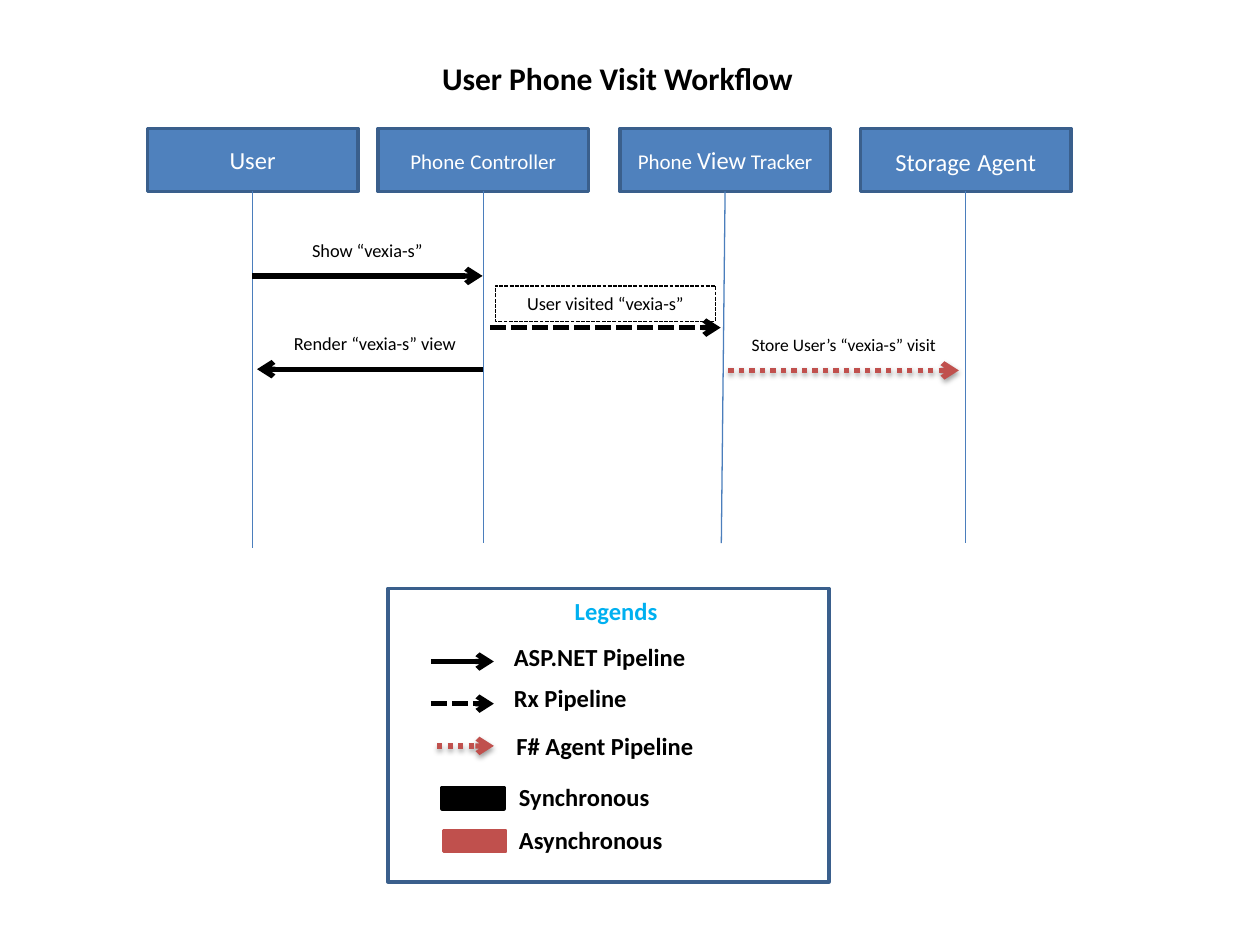
from dataclasses import dataclass
from lxml import etree
from pptx import Presentation
from pptx.dml.color import RGBColor
from pptx.enum.dml import MSO_LINE
from pptx.enum.shapes import MSO_CONNECTOR, MSO_SHAPE
from pptx.enum.text import MSO_ANCHOR, PP_ALIGN
from pptx.oxml.ns import qn
from pptx.util import Inches, Pt

RECTANGLE = MSO_SHAPE.RECTANGLE
STRAIGHT = MSO_CONNECTOR.STRAIGHT
LEFT, CENTER = PP_ALIGN.LEFT, PP_ALIGN.CENTER
TOP, MIDDLE = MSO_ANCHOR.TOP, MSO_ANCHOR.MIDDLE
DASH, DOT = MSO_LINE.SQUARE_DOT, MSO_LINE.ROUND_DOT
SYSTEM_DASH = {DASH: "sysDash", DOT: "sysDot"}


@dataclass(frozen=True)
class Theme:
    font: str = "Calibri"
    blue: str = "4F81BD"
    border: str = "3A5F8C"
    lifeline: str = "4B7EBC"
    red: str = "C0504D"
    black: str = "000000"
    white: str = "FFFFFF"
    heading: str = "00B0F0"
    title_size: float = 18
    legend_size: float = 14
    message_size: float = 10.5
    small_size: float = 10
    thin: float = 0.75
    frame: float = 2
    thick: float = 3


THEME = Theme()
# Each arrow style is a colour and a dash
SOLID_CALL = (THEME.black, None)
DASHED_CALL = (THEME.black, DASH)
DOTTED_CALL = (THEME.red, DOT)


def style_line(line, color, width, dash=None):
    line.color.rgb = RGBColor.from_string(color)
    line.width = Pt(width)
    if dash is not None:
        line.dash_style = dash
        preset = line._get_or_add_ln().find(qn("a:prstDash"))
        preset.set("val", SYSTEM_DASH[dash])


def write_text(shape, runs, color, align=CENTER, anchor=TOP, bold=False, wrap=True):
    frame = shape.text_frame
    frame.word_wrap = wrap
    frame.vertical_anchor = anchor
    para = frame.paragraphs[0]
    para.alignment = align
    for words, size in runs:
        span = para.add_run()
        span.text = words
        span.font.name = THEME.font
        span.font.size = Pt(size)
        span.font.bold = bold
        span.font.color.rgb = RGBColor.from_string(color)


def add_label(shapes, box, words, size, color=THEME.black, **layout):
    label = shapes.add_textbox(*map(Inches, box))
    write_text(label, [(words, size)], color, **layout)
    return label


def add_box(shapes, box, fill, border):
    shape = shapes.add_shape(RECTANGLE, *map(Inches, box))
    shape.shadow.inherit = False
    if fill:
        shape.fill.solid()
        shape.fill.fore_color.rgb = RGBColor.from_string(fill)
    else:
        shape.fill.background()
    style_line(shape.line, border, THEME.frame)
    return shape


def add_line(shapes, start, end, color, width, dash=None):
    line = shapes.add_connector(STRAIGHT, *map(Inches, (*start, *end)))
    style_line(line.line, color, width, dash)
    effects = etree.SubElement(line._element.spPr, qn("a:effectLst"))
    return line, effects


def add_arrow(shapes, start, end, style):
    color, dash = style
    arrow, effects = add_line(shapes, start, end, color, THEME.thick, dash)
    outline = arrow.line._get_or_add_ln()
    etree.SubElement(outline, qn("a:tailEnd"), type="arrow")
    if style == DOTTED_CALL:
        shadow = etree.SubElement(effects, qn("a:outerShdw"), blurRad=str(Pt(3.1)),
                                  dist=str(Pt(1.6)), dir="5400000", rotWithShape="0")
        shade = etree.SubElement(shadow, qn("a:srgbClr"), val=THEME.black)
        etree.SubElement(shade, qn("a:alpha"), val="38000")


def add_participant(shapes, box, runs, foot):
    """Header box with its lifeline; foot is the line's end point."""
    left, top, width, height = box
    header = add_box(shapes, box, THEME.blue, THEME.border)
    write_text(header, runs, THEME.white, anchor=MIDDLE)
    add_line(shapes, (left + width / 2, top + height), foot, THEME.lifeline, THEME.thin)


def add_message(shapes, start, end, style, words, size, label_left, rise, framed):
    """Arrow with its caption a given rise above it."""
    add_arrow(shapes, start, end, style)
    caption = add_label(shapes, (label_left, start[1] - rise, 1.75, 0.28), words, size)
    if framed:
        style_line(caption.line, THEME.black, THEME.thin, DASH)


def add_sequence(page, left, top):
    shapes = page.shapes.add_group_shape().shapes
    width, height = 1.67, 0.5
    # Participants: header offset, runs, lifeline foot offset from its centre, length
    participants = [
        (0, [("User", 14)], 0, 2.83),
        (1.83, [("Phone", 12), (" ", 14), ("Controller", 12)], 0, 2.79),
        (3.75, [("Phone ", 12), ("View", 14), (" Tracker", 12)], -0.03, 2.79),
        (5.66, [("Storage", 14), (" ", 16), ("Agent", 14)], 0, 2.79),
    ]
    for offset, runs, lean, length in participants:
        box = (left + offset, top, width, height)
        foot = (left + offset + width / 2 + lean, top + height + length)
        add_participant(shapes, box, runs, foot)
    # Messages: start, end and row offsets, style, caption, size, caption offset, rise
    messages = [
        (0.83, 2.66, 1.17, SOLID_CALL, "Show “vexia-s”",
         THEME.message_size, 0.87, 0.34, False),
        (2.72, 4.55, 1.58, DASHED_CALL, "User visited “vexia-s”",
         THEME.message_size, 2.76, 0.33, True),
        (4.61, 6.44, 1.92, DOTTED_CALL, "Store User’s “vexia-s” visit",
         THEME.small_size, 4.65, 0.34, False),
        (2.66, 0.87, 1.91, SOLID_CALL, "Render “vexia-s” view",
         THEME.message_size, 0.93, 0.34, False),
    ]
    for start, end, row, style, words, size, label, rise, framed in messages:
        add_message(shapes, (left + start, top + row), (left + end, top + row),
                    style, words, size, left + label, rise, framed)


def add_legend(page, box):
    shapes = page.shapes.add_group_shape().shapes
    left, top, width, height = box
    add_box(shapes, box, None, THEME.border)
    label_style = dict(size=THEME.legend_size, bold=True, wrap=False)
    add_label(shapes, (left + 1.38, top + 0.01, 0.86, 0.34), "Legends",
              color=THEME.heading, **label_style)
    # Arrow keys, on an even pitch
    arrow_keys = [(0.34, SOLID_CALL), (0.34, DASHED_CALL), (0.39, DOTTED_CALL)]
    for row, (start, style) in enumerate(arrow_keys):
        level = top + 0.58 + row * 0.335
        add_arrow(shapes, (left + start, level), (left + 0.84, level), style)
    # Colour keys
    for row, color in enumerate((THEME.black, THEME.red)):
        swatch = (left + 0.43 + row * 0.01, top + 1.58 + row * 0.34, 0.49, 0.17)
        add_box(shapes, swatch, color, color)
    # Key names: left and top offsets, width
    names = [
        ("ASP.NET Pipeline", 0.9, 0.38, 1.58),
        ("Rx Pipeline", 0.9, 0.7, 1.1),
        ("F# Agent Pipeline", 0.92, 1.08, 1.62),
        ("Synchronous", 0.94, 1.49, 1.29),
        ("Asynchronous", 0.94, 1.83, 1.35),
    ]
    for words, across, down, span_width in names:
        add_label(shapes, (left + across, top + down, span_width, 0.34), words,
                  align=LEFT, **label_style)


def build():
    deck = Presentation()
    deck.slide_width, deck.slide_height = Inches(10), Inches(7.5)
    page = deck.slides.add_slide(deck.slide_layouts[6])
    add_sequence(page, 1.17, 1.02)
    add_legend(page, (3.08, 4.67, 3.5, 2.33))
    add_label(page.shapes, (3.41, 0.42, 3.01, 0.4), "User Phone Visit Workflow",
              THEME.title_size, align=LEFT, bold=True, wrap=False)
    deck.save("out.pptx")


build()
